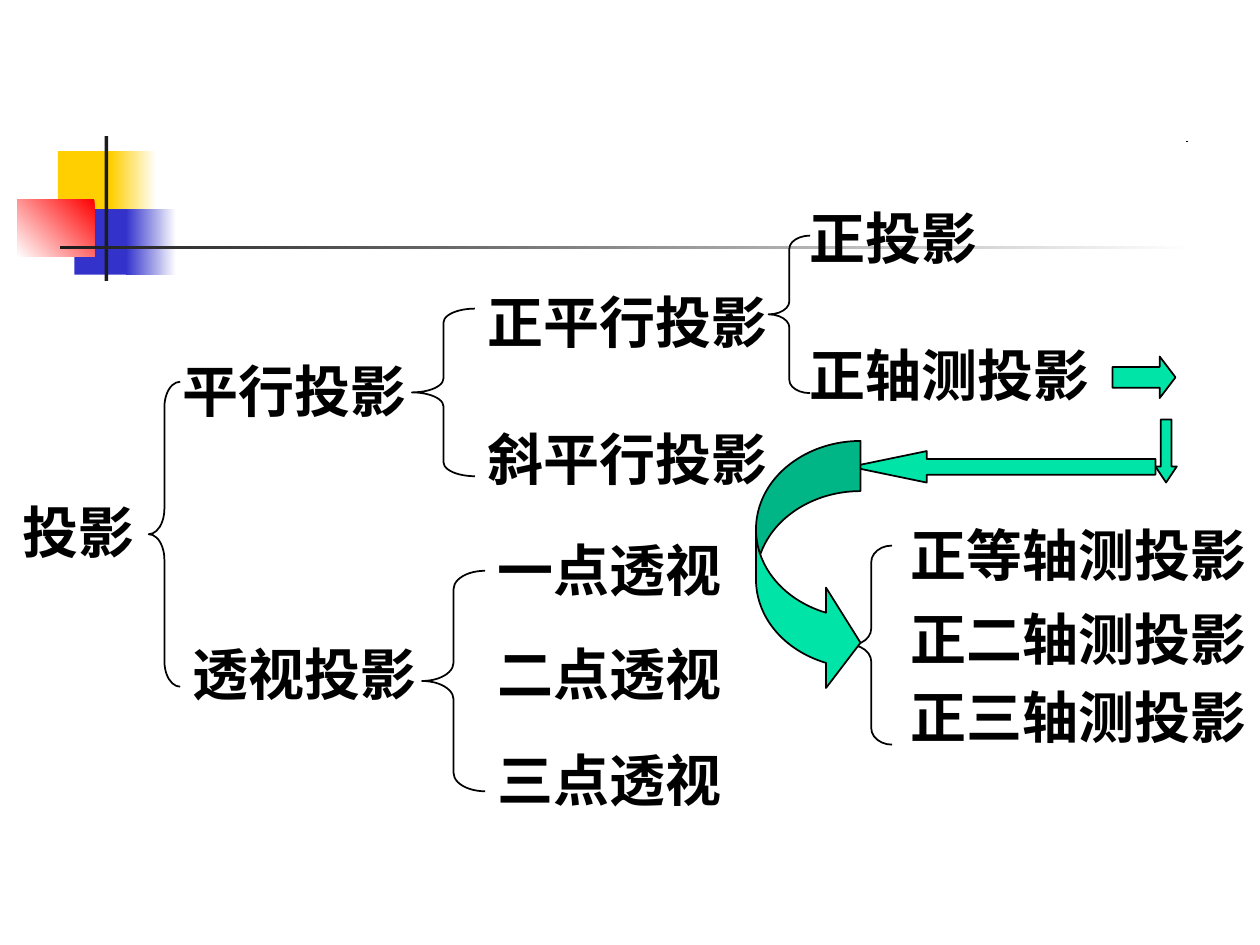
import pptx
import pptx.util
import pptx.dml.color
import pptx.enum.shapes
import pptx.enum.text
import pptx.oxml.ns
from dataclasses import dataclass
from lxml import etree

Inches = pptx.util.Inches
SHAPE = pptx.enum.shapes.MSO_SHAPE


@dataclass(frozen=True)
class Theme:
    font: str = "Arial"
    label_size: int = 32
    line_width: float = 1
    ink: str = "000000"
    white: str = "FFFFFF"
    yellow: str = "FFCF01"
    blue: str = "3333CC"
    red: str = "FF0000"
    bar: str = "1C1C1C"
    green: str = "00E4A8"


def rgb(value):
    return pptx.dml.color.RGBColor.from_string(value)


def apply(target, values):
    for name, value in values.items():
        setattr(target, name, value)


class Board:
    def __init__(self, slide, theme):
        self.s = slide
        self.theme = theme

    def shape(self, kind, box, adjustments=()):
        sp = self.s.shapes.add_shape(kind, *map(Inches, box))
        sp.shadow.inherit = False
        for i, value in enumerate(adjustments):
            sp.adjustments[i] = value
        return sp

    def outline(self, line):
        line.color.rgb = rgb(self.theme.ink)
        line.width = pptx.util.Pt(self.theme.line_width)

    def block(self, box, color):
        sp = self.shape(SHAPE.RECTANGLE, box)
        sp.fill.solid()
        sp.fill.fore_color.rgb = rgb(color)
        sp.line.fill.background()

    def fade(self, box, start, end, angle=180):
        sp = self.shape(SHAPE.RECTANGLE, box)
        sp.fill.gradient()
        sp.fill.gradient_angle = angle
        for stop, color in zip(sp.fill.gradient_stops, (start, end)):
            stop.color.rgb = rgb(color)
        sp.line.fill.background()

    def label(self, text, left, top):
        width = 0.2 + len(text) * self.theme.label_size / 72
        sp = self.s.shapes.add_textbox(*map(Inches, (left, top, width, 0.64)))
        tf = sp.text_frame
        apply(tf, {"word_wrap": False,
                   "auto_size": pptx.enum.text.MSO_AUTO_SIZE.SHAPE_TO_FIT_TEXT})
        r = tf.paragraphs[0].add_run()
        r.text = text
        apply(r.font, {"name": self.theme.font, "bold": True,
                       "size": pptx.util.Pt(self.theme.label_size)})
        r.font.color.rgb = rgb(self.theme.ink)

    def brace(self, left, top, width, height):
        # Each curl takes a twelfth of the height
        sp = self.shape(SHAPE.LEFT_BRACE, (left, top, width, height),
                        (height / 12 / width, 0.5))
        sp.fill.background()
        self.outline(sp.line)

    def arrow(self, kind, box, adjustments):
        sp = self.shape(kind, box, adjustments)
        sp.fill.solid()
        sp.fill.fore_color.rgb = rgb(self.theme.green)
        self.outline(sp.line)

    def line(self, *ends):
        cn = self.s.shapes.add_connector(
            pptx.enum.shapes.MSO_CONNECTOR.STRAIGHT, *map(Inches, ends))
        self.outline(cn.line)
        etree.SubElement(cn._element.spPr, pptx.oxml.ns.qn("a:effectLst"))


def main():
    prs = pptx.Presentation()
    prs.slide_width, prs.slide_height = Inches(10), Inches(7.5)
    theme = Theme()
    board = Board(prs.slides.add_slide(prs.slide_layouts[6]), theme)

    # Corner ornament
    board.block((0.46, 1.2, 0.48, 0.52), theme.yellow)
    board.fade((0.88, 1.2, 0.36, 0.52), theme.white, theme.yellow)
    board.block((0.59, 1.66, 0.46, 0.52), theme.blue)
    board.fade((1, 1.66, 0.4, 0.52), theme.white, theme.blue)
    board.fade((0.14, 1.58, 0.61, 0.46), theme.red, theme.white, 225)
    board.block((0.83, 1.08, 0.03, 1.15), theme.bar)
    board.fade((0.48, 1.95, 9, 0.03), theme.white, theme.bar)

    # Tree labels, grouped by column
    columns = [
        (0.08, [("投影", 3.9)]),
        (1.35, [("平行投影", 2.78)]),
        (1.43, [("透视投影", 5.03)]),
        (3.77, [("正平行投影", 2.23), ("斜平行投影", 3.32)]),
        (6.33, [("正投影", 1.57), ("正轴测投影", 2.65)]),
        (3.85, [("一点透视", 4.2), ("二点透视", 5.03), ("三点透视", 5.87)]),
        (7.13, [("正等轴测投影", 4.08), ("正二轴测投影", 4.75),
                ("正三轴测投影", 5.37)]),
    ]
    for left, labels in columns:
        for text, top in labels:
            board.label(text, left, top)

    # Braces joining each term to its kinds
    for box in [(1.18, 3.03, 0.25, 2.42), (3.35, 4.53, 0.5, 1.75),
                (3.27, 2.45, 0.5, 1.33), (6.1, 1.87, 0.33, 1.25),
                (6.75, 4.33, 0.33, 1.58)]:
        board.brace(*box)

    # Small mark at the top right
    board.line(9.42, 1.12, 9.42, 1.13)

    # Arrows leading to the axonometric kinds
    board.arrow(SHAPE.RIGHT_ARROW, (8.83, 2.83, 0.5, 0.33), (0.5, 0.38))
    board.arrow(SHAPE.DOWN_ARROW, (9.17, 3.33, 0.17, 0.5), (0.5, 0.75))
    board.arrow(SHAPE.LEFT_ARROW, (6.75, 3.58, 2.42, 0.25), (0.5, 2.42))
    board.arrow(SHAPE.CURVED_RIGHT_ARROW, (6, 3.5, 0.83, 2), (0.48, 0.96, 0.33))

    prs.save("out.pptx")


if __name__ == "__main__":
    main()
